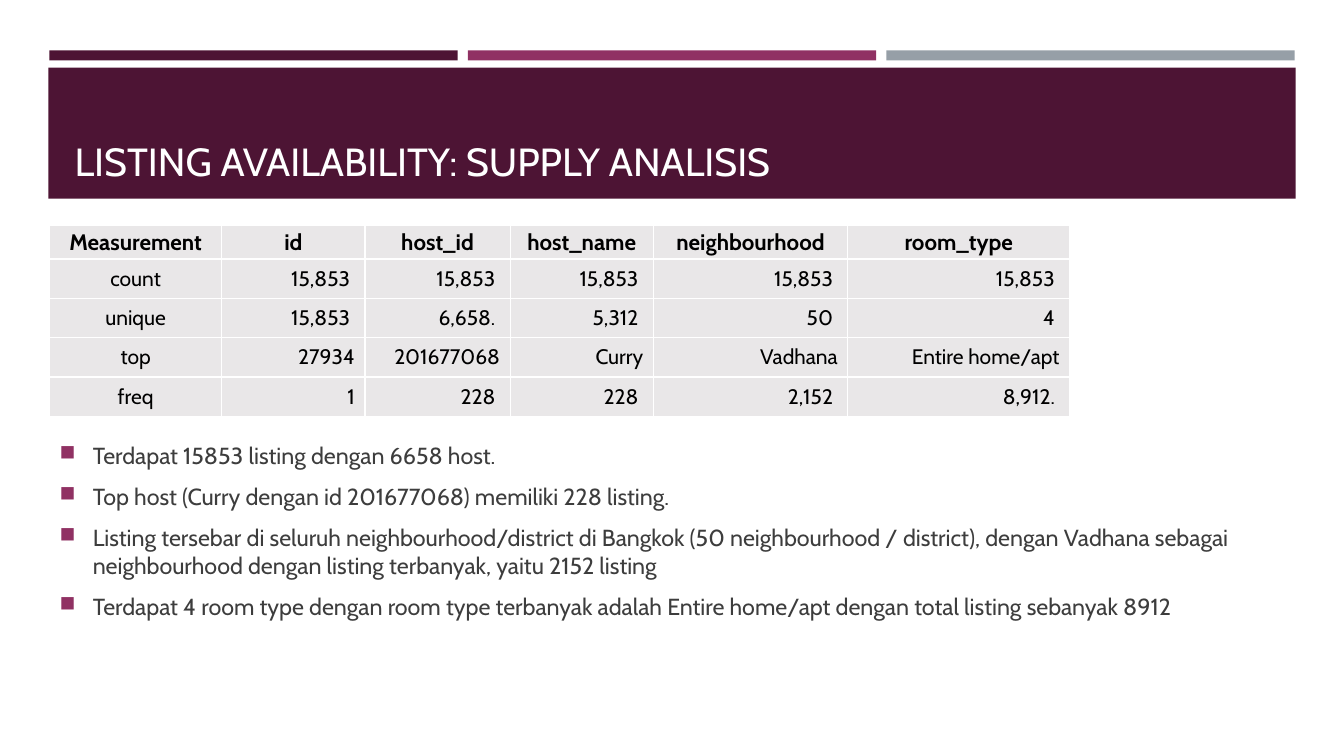
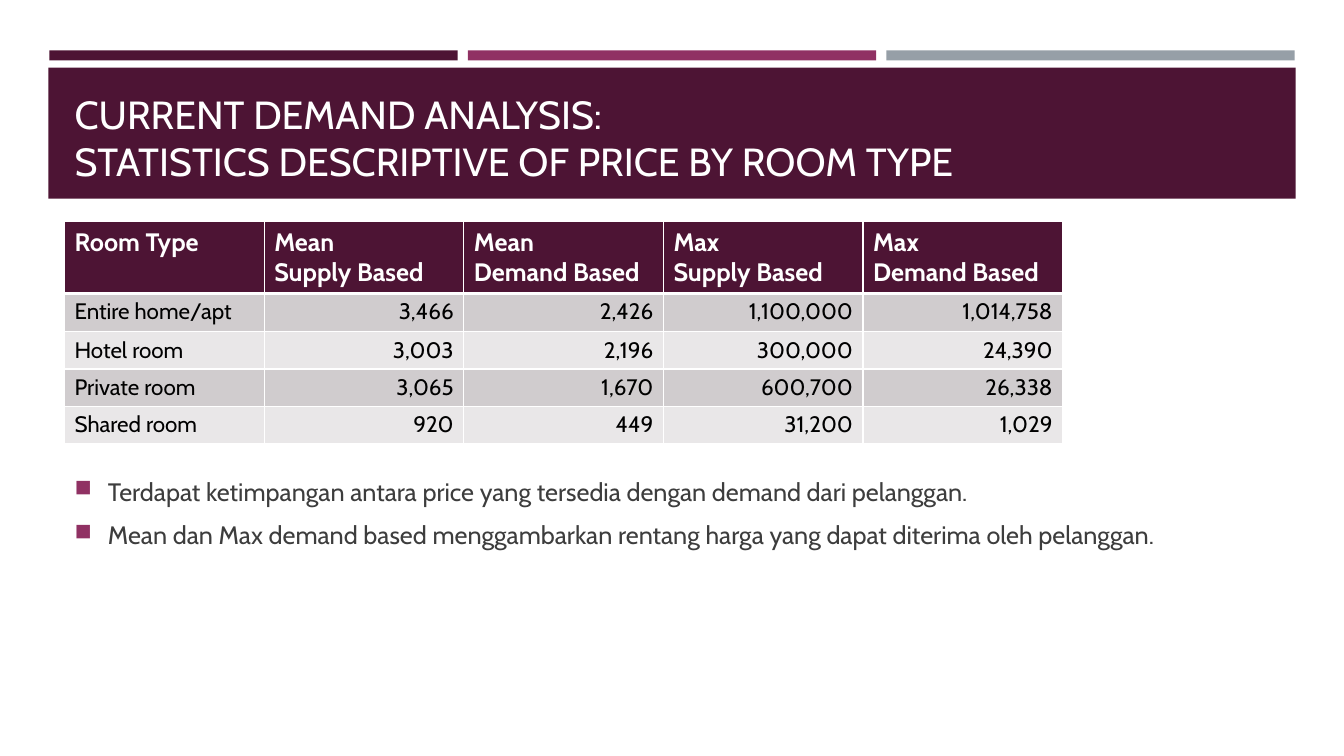
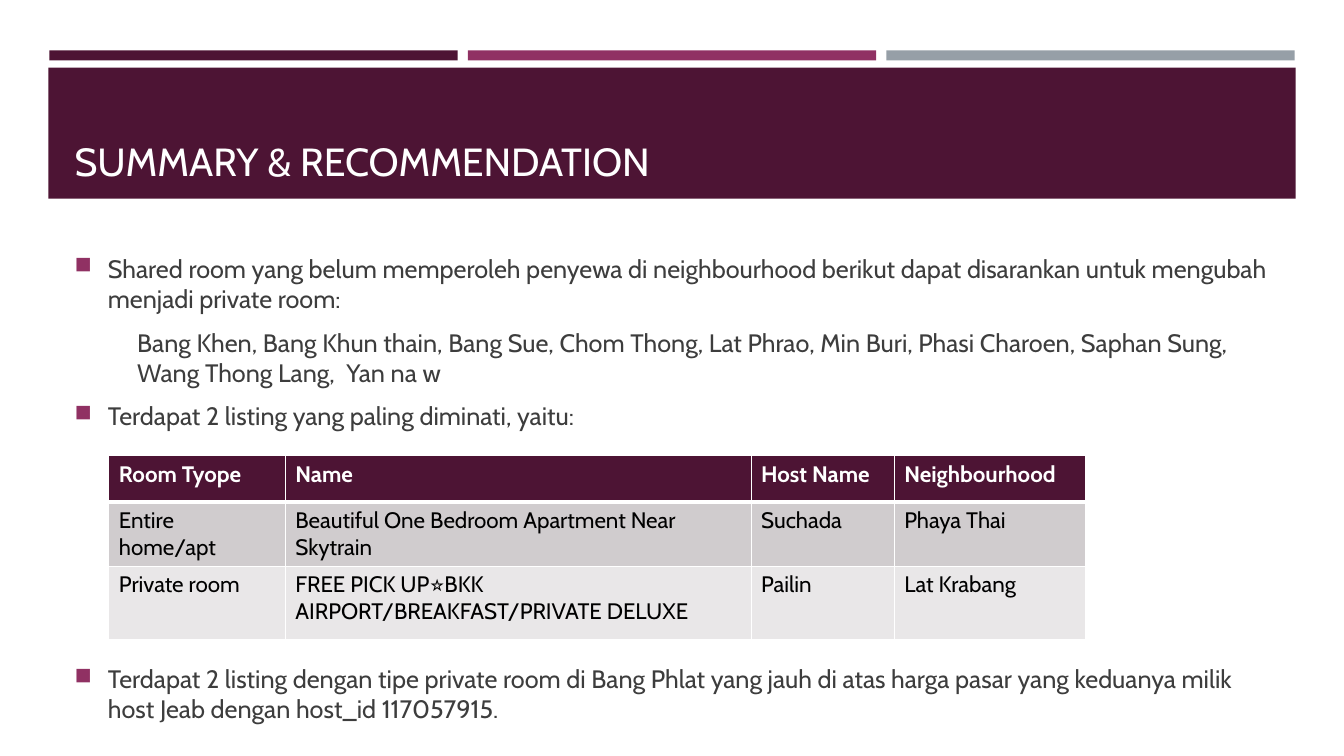
from lxml.etree import SubElement
from pptx import Presentation
from pptx.dml.color import RGBColor
from pptx.enum.shapes import MSO_SHAPE
from pptx.enum.text import MSO_ANCHOR, MSO_AUTO_SIZE, PP_ALIGN
from pptx.oxml.ns import qn
from pptx.util import Inches, Pt

# Shared look
FONT = "Cabin"
PLUM, ROSE, GREY = "4D1434", "903163", "969FA7"
WHITE, BLACK, INK = "FFFFFF", "000000", "3D3D3D"
PALE, DARK = "E9E7E8", "D0CCCE"
EDGE, BAR, GAP = 0.49, 4.05, 0.1
BANDS = [(EDGE + i * (BAR + GAP), 0.5, BAR, 0.1, tint)
         for i, tint in enumerate((PLUM, ROSE, GREY))]
BANDS.append((0.48, 0.67, 12.37, 1.3, PLUM))
HEAD = (0.64, 0.77, 12.06, 1.11)
LEFT, MID, RIGHT = PP_ALIGN.LEFT, PP_ALIGN.CENTER, PP_ALIGN.RIGHT

# Content: a list item is (text, options)
SLIDES = [
    {
        "title": "LISTING AVAILABILITY: SUPPLY ANALISIS",
        "body": (0.49, 4.33, 12.36, 1.87),
        "size": 16.6,
        "list": [
            ("Terdapat 15853 listing dengan 6658 host.", {}),
            ("Top host (Curry dengan id 201677068) memiliki 228 listing.", {}),
            ("Listing tersebar di seluruh neighbourhood/district di Bangkok "
             "(50 neighbourhood / district), dengan Vadhana sebagai "
             "neighbourhood dengan listing terbanyak, yaitu 2152 listing", {}),
            ("Terdapat 4 room type dengan room type terbanyak adalah "
             "Entire home/apt dengan total listing sebanyak 8912", {}),
        ],
        "table": {
            "at": (0.49, 2.24),
            "cols": [1.71, 1.42, 1.44, 1.42, 1.93, 2.2],
            "rows": [0.33] + [0.39] * 4,
            "head": {"size": 16, "ink": BLACK, "fills": [PALE], "rule": 1},
            "size": 15, "fills": [PALE], "pad": 0.02,
            "anchor": MSO_ANCHOR.MIDDLE,
            "aligns": [MID] + [RIGHT] * 5, "tops": MID,
            "cells": [
                ["Measurement", "id", "host_id", "host_name",
                 "neighbourhood", "room_type"],
                ["count"] + ["15,853 "] * 5,
                ["unique", "15,853 ", "6,658. ", "5,312 ", "50 ", "4 "],
                ["top", "27934", "201677068", "Curry", "Vadhana",
                 "Entire home/apt"],
                ["freq", "1", "228 ", "228 ", "2,152 ", "8,912. "],
            ],
        },
    },
    {
        "title": "CURRENT DEMAND ANALYSIS:\v"
                 "STATISTICS DESCRIPTIVE OF PRICE BY ROOM TYPE",
        "body": (0.64, 4.38, 12.06, 1.42),
        "size": 18,
        "list": [
            ("Terdapat ketimpangan antara price yang tersedia dengan demand "
             "dari pelanggan.", {}),
            ("Mean dan Max demand based menggambarkan rentang harga yang "
             "dapat diterima oleh pelanggan.", {}),
        ],
        "table": {
            "at": (0.64, 2.2),
            "cols": [1.98] * 5,
            "rows": [0.71, 0.38] + [0.37] * 3,
            "head": {"size": 18, "ink": WHITE, "fills": [PLUM], "rule": 3},
            "size": 16, "fills": [DARK, PALE], "pad": 0.05,
            "anchor": MSO_ANCHOR.TOP,
            "aligns": [LEFT] + [RIGHT] * 4, "tops": LEFT,
            "cells": [
                ["Room Type", "Mean\nSupply Based", "Mean\nDemand Based",
                 "Max\nSupply Based", "Max\nDemand Based"],
                ["Entire home/apt", "3,466", "2,426", "1,100,000",
                 "1,014,758"],
                ["Hotel room", "3,003", "2,196", "300,000", "24,390"],
                ["Private room", "3,065", "1,670", "600,700", "26,338"],
                ["Shared room", "920", "449", "31,200", "1,029"],
            ],
        },
    },
    {
        "title": "SUMMARY & RECOMMENDATION",
        "body": (0.64, 2.38, 12.06, 4.93),
        "size": 18,
        "list": [
            ("Shared room yang belum memperoleh penyewa di neighbourhood "
             "berikut dapat disarankan untuk mengubah menjadi private room:",
             {}),
            ("Bang Khen, Bang Khun thain, Bang Sue, Chom Thong, Lat Phrao, "
             "Min Buri, Phasi Charoen, Saphan Sung, Wang Thong Lang,  "
             "Yan na w", {"plain": True}),
            ("Terdapat 2 listing yang paling diminati, yaitu:", {}),
            ("Terdapat 2 listing dengan tipe private room di Bang Phlat yang "
             "jauh di atas harga pasar yang keduanya milik host Jeab dengan "
             "host_id 117057915.", {"before": 160}),
        ],
        "table": {
            "at": (1.08, 4.52),
            "cols": [1.75, 4.62, 1.42, 1.9],
            "rows": [0.46, 0.62, 0.73],
            "head": {"size": 16, "ink": WHITE, "fills": [PLUM], "rule": 3},
            "size": 16, "fills": [DARK, PALE], "pad": 0.05,
            "anchor": MSO_ANCHOR.TOP,
            "aligns": [LEFT] * 4, "tops": LEFT,
            "cells": [
                ["Room Tyope", "Name", "Host Name", "Neighbourhood"],
                ["Entire home/apt",
                 "Beautiful One Bedroom Apartment Near Skytrain",
                 "Suchada", "Phaya Thai"],
                ["Private room",
                 "FREE PICK UP⭐BKK AIRPORT/BREAKFAST/PRIVATE DELUXE",
                 "Pailin", "Lat Krabang"],
            ],
        },
    },
]


# Helpers
def apply(item, **vals):
    for key, val in vals.items():
        setattr(item, key, val)


def place(shape, box):
    apply(shape, **dict(zip(("left", "top", "width", "height"),
                            map(Inches, box))))


def paint(fill, tint):
    fill.solid()
    fill.fore_color.rgb = RGBColor.from_string(tint)


def write(par, size, ink, bold=False):
    for run in par.runs:
        apply(run.font, name=FONT, size=Pt(size), bold=bold)
        run.font.color.rgb = RGBColor.from_string(ink)


def node(root, tag, **attrs):
    return SubElement(root, qn("a:" + tag), attrs)


def bullet(par, plain):
    props = par._p.get_or_add_pPr()
    left, hang = (0.62, 0) if plain else (0.33, -0.33)
    props.set("marL", str(Inches(left)))
    props.set("indent", str(Inches(hang)))
    if plain:
        node(props, "buNone")
        return
    node(node(props, "buClr"), "srgbClr", val=ROSE)
    node(props, "buSzPct", val="92000")
    node(props, "buFont", typeface="OpenSymbol")
    node(props, "buChar", char="■")


def border(cell, rule):
    props = cell._tc.get_or_add_tcPr()
    for side in "LRTB":
        wide = rule if side == "B" else 1
        line = node(props, "ln" + side, w=str(Pt(wide)))
        node(node(line, "solidFill"), "srgbClr", val=WHITE)


# Slide parts
def add_bands(slide, layout):
    """Draw the bands, then hand them to the layout."""
    tree = layout.shapes._spTree
    for i, (*box, tint) in enumerate(BANDS):
        band = slide.shapes.add_shape(MSO_SHAPE.RECTANGLE,
                                      *map(Inches, box))
        band.shadow.inherit = False
        paint(band.fill, tint)
        band.line.fill.background()
        band._element.nvSpPr.cNvPr.id = 20 + i
        tree.insert(2 + i, band._element)


def add_title(slide, text):
    frame = slide.shapes.title.text_frame
    frame.text = text
    apply(frame, vertical_anchor=MSO_ANCHOR.BOTTOM,
          auto_size=MSO_AUTO_SIZE.NONE)
    frame.paragraphs[0].alignment = LEFT
    write(frame.paragraphs[0], 28, WHITE)


def add_list(slide, data):
    body = slide.placeholders[1]
    place(body, data["body"])
    frame = body.text_frame
    frame.text = "\n".join(text for text, _ in data["list"])
    apply(frame, vertical_anchor=MSO_ANCHOR.MIDDLE,
          auto_size=MSO_AUTO_SIZE.NONE)
    for par, (_, opts) in zip(frame.paragraphs, data["list"]):
        before = opts.get("before", data["size"] * 0.2)
        apply(par, space_before=Pt(before), space_after=Pt(6))
        bullet(par, opts.get("plain", False))
        write(par, data["size"], INK)


def add_grid(slide, data):
    cols, rows = data["cols"], data["rows"]
    box = (*data["at"], sum(cols), sum(rows))
    grid = slide.shapes.add_table(len(rows), len(cols),
                                  *map(Inches, box)).table
    for col, wide in zip(grid.columns, cols):
        col.width = Inches(wide)
    base = {"size": data["size"], "ink": BLACK, "fills": data["fills"],
            "rule": 1}
    pad = Inches(data["pad"])
    for r, texts in enumerate(data["cells"]):
        grid.rows[r].height = Inches(rows[r])
        look = base if r else data["head"]
        for c, text in enumerate(texts):
            cell = grid.cell(r, c)
            cell.text = text
            apply(cell, vertical_anchor=data["anchor"],
                  margin_top=pad, margin_bottom=pad)
            border(cell, look["rule"])
            paint(cell.fill, look["fills"][(r - 1) % len(look["fills"])])
            for par in cell.text_frame.paragraphs:
                par.alignment = data["aligns"][c] if r else data["tops"]
                write(par, look["size"], look["ink"], bold=r == 0)


def main():
    deck = Presentation()
    apply(deck, slide_width=Inches(13.33), slide_height=Inches(7.5))
    layout = deck.slide_layouts[1]
    place(layout.placeholders[0], HEAD)
    for i, data in enumerate(SLIDES):
        slide = deck.slides.add_slide(layout)
        if i == 0:
            add_bands(slide, layout)
        add_title(slide, data["title"])
        add_list(slide, data)
        add_grid(slide, data["table"])
    deck.save("out.pptx")


if __name__ == "__main__":
    main()
